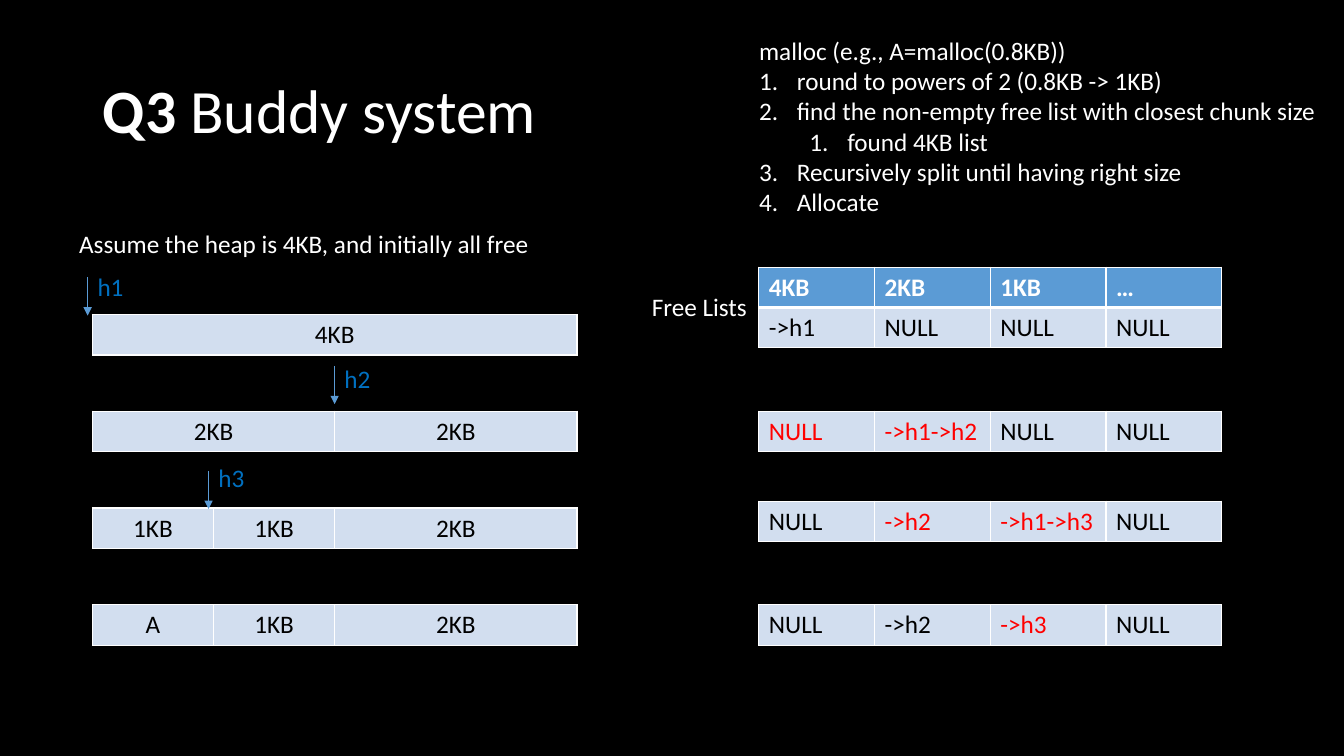
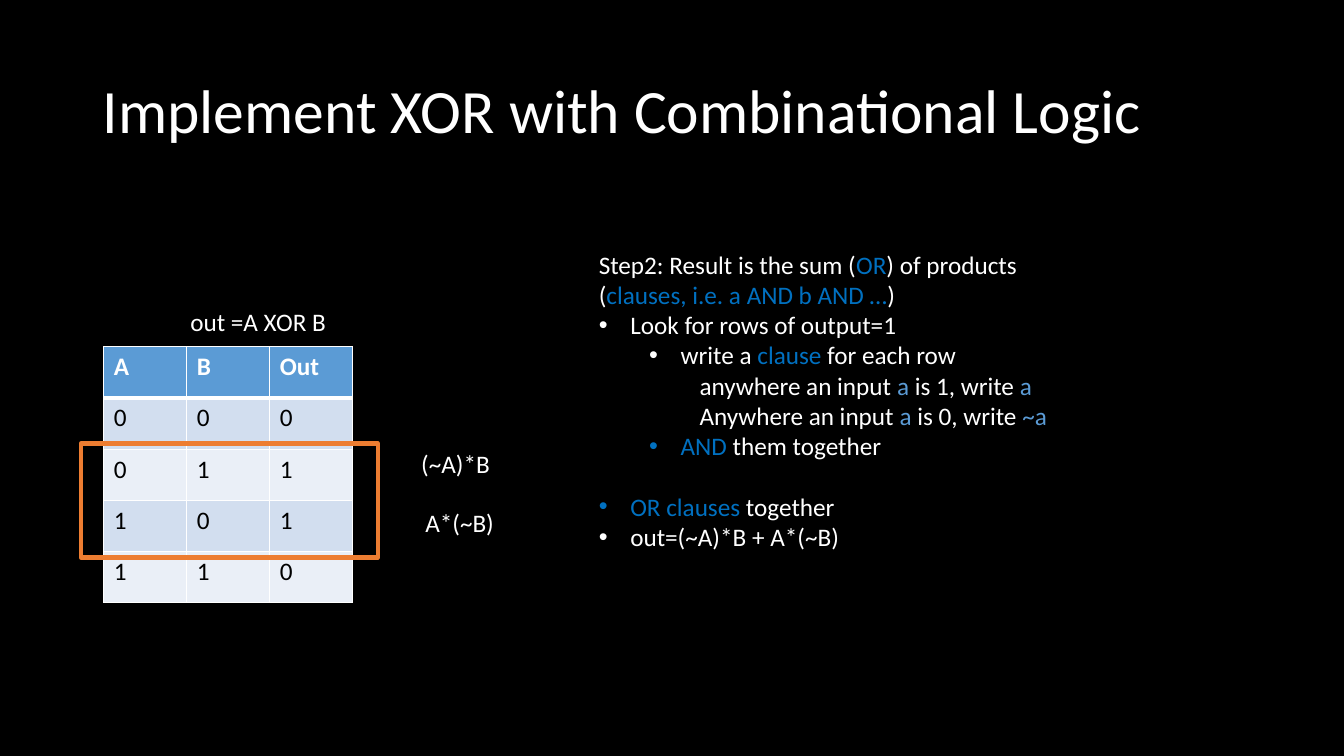
from dataclasses import dataclass
from typing import NamedTuple

from lxml.etree import SubElement
from pptx import Presentation
from pptx.dml.color import RGBColor
from pptx.enum.shapes import MSO_CONNECTOR, MSO_SHAPE
from pptx.enum.text import MSO_ANCHOR, MSO_AUTO_SIZE, PP_ALIGN
from pptx.oxml.ns import qn
from pptx.util import Pt


@dataclass(frozen=True)
class Theme:
    font: str = "Calibri"
    bullet_font: str = "Arial"
    title_size: float = 44
    text_size: float = 18
    background: str = "000000"
    text: str = "FFFFFF"
    cell_text: str = "000000"
    changed: str = "FF0000"
    keyword: str = "0070C0"
    accent: str = "5B9BD5"
    highlight: str = "ED7D31"
    band_dark: str = "D2DEEF"
    band_light: str = "EAEFF7"
    border: str = "FFFFFF"
    thin: float = 1
    thick: float = 3
    hairline: float = 0.5


class Box(NamedTuple):
    left: float
    top: float
    width: float
    height: float

    def points(self):
        return [Pt(length) for length in self]


class Item(NamedTuple):
    """A list paragraph; runs are plain strings or (string, colour) pairs."""
    runs: list
    level: int = 0
    margin: float = 0
    hanging: float = 0
    bullet: str = ""
    space_before: float = 0


class Pointer(NamedTuple):
    """An address arrow; offset from the bar's left, rises above its top."""
    name: str
    offset: float
    rise: float
    label_rise: float


THEME = Theme()
NUMBER = "1."
DOT = "•"
LINE_HEIGHT = 28.8
TITLE = Box(66.24, 28.8, 828, 104.4)


def rgb(colour):
    return RGBColor.from_string(colour)


def style_run(run, colour, size=THEME.text_size, bold=False):
    run.font.name = THEME.font
    run.font.size = Pt(size)
    run.font.bold = bold
    run.font.color.rgb = rgb(colour)


def add_label(slide, text, left, top, width, colour=THEME.text):
    label = slide.shapes.add_textbox(*Box(left, top, width, LINE_HEIGHT).points())
    label.text_frame.word_wrap = False
    label.text_frame.text = text
    style_run(label.text_frame.paragraphs[0].runs[0], colour)


def set_title(slide, *parts):
    """Write the title from (text, bold) parts."""
    paragraph = slide.shapes.title.text_frame.paragraphs[0]
    paragraph.alignment = PP_ALIGN.LEFT
    paragraph.line_spacing = 0.9
    for text, bold in parts:
        run = paragraph.add_run()
        run.text = text
        style_run(run, THEME.text, THEME.title_size, bold)


def set_bullet(paragraph, item):
    properties = paragraph._p.get_or_add_pPr()
    properties.set("marL", str(int(Pt(item.margin))))
    properties.set("indent", str(int(Pt(-item.hanging))))
    if item.bullet == NUMBER:
        SubElement(properties, qn("a:buFont"), typeface="+mj-lt")
        SubElement(properties, qn("a:buAutoNum"), type="arabicPeriod")
    elif item.bullet:
        SubElement(properties, qn("a:buFont"), typeface=THEME.bullet_font)
        SubElement(properties, qn("a:buChar"), char=item.bullet)
    else:
        SubElement(properties, qn("a:buNone"))


def fill_body(slide, box, items, wrap=True):
    body = slide.placeholders[1]
    body.left, body.top, body.width, body.height = box.points()
    frame = body.text_frame
    frame.word_wrap = wrap
    frame.auto_size = MSO_AUTO_SIZE.NONE
    for index, item in enumerate(items):
        paragraph = frame.add_paragraph() if index else frame.paragraphs[0]
        paragraph.level = item.level
        paragraph.alignment = PP_ALIGN.LEFT
        paragraph.line_spacing = 1.0
        paragraph.space_before = Pt(item.space_before)
        set_bullet(paragraph, item)
        for part in item.runs:
            text, colour = (part, THEME.text) if isinstance(part, str) else part
            run = paragraph.add_run()
            run.text = text
            style_run(run, colour)


def set_borders(cell, top, bottom):
    properties = cell._tc.get_or_add_tcPr()
    widths = {"L": THEME.thin, "R": THEME.thin, "T": top, "B": bottom}
    for position, (side, width) in enumerate(widths.items()):
        line = SubElement(properties, qn(f"a:ln{side}"), w=str(int(Pt(width))))
        fill = SubElement(line, qn("a:solidFill"))
        SubElement(fill, qn("a:srgbClr"), val=THEME.border)
        properties.insert(position, line)


def add_grid(slide, box, rows, shares=None, header=False, changed=(), align=PP_ALIGN.LEFT):
    """Fill the box with a table; shares are column weights, changed are (row, column)."""
    shares = shares or [1] * len(rows[0])
    table = slide.shapes.add_table(len(rows), len(shares), *box.points()).table
    table.first_row = header
    for column, share in zip(table.columns, shares):
        column.width = Pt(box.width * share / sum(shares))
    for r, values in enumerate(rows):
        table.rows[r].height = Pt(box.height / len(rows))
        is_header = header and r == 0
        band = THEME.band_dark if (r - header) % 2 == 0 else THEME.band_light
        for c, value in enumerate(values):
            cell = table.cell(r, c)
            cell.fill.solid()
            cell.fill.fore_color.rgb = rgb(THEME.accent if is_header else band)
            set_borders(cell,
                        THEME.thick if header and r == 1 else THEME.thin,
                        THEME.thick if is_header else THEME.thin)
            paragraph = cell.text_frame.paragraphs[0]
            paragraph.text = value
            paragraph.alignment = align
            colour = THEME.changed if (r, c) in changed else THEME.cell_text
            style_run(paragraph.runs[0], THEME.text if is_header else colour, bold=is_header)


def add_pointer(slide, bar, pointer):
    x, start = bar.left + pointer.offset, bar.top - pointer.rise
    add_label(slide, pointer.name, x, bar.top - pointer.label_rise, 33, THEME.keyword)
    arrow = slide.shapes.add_connector(
        MSO_CONNECTOR.STRAIGHT, Pt(x), Pt(start), Pt(x), Pt(start + 27.3))
    arrow.line.color.rgb = rgb(THEME.accent)
    arrow.line.width = Pt(THEME.hairline)
    SubElement(arrow.line._get_or_add_ln(), qn("a:tailEnd"), type="triangle")
    SubElement(arrow._element.spPr, qn("a:effectLst"))


def add_heap(slide, box):
    """Stack the heap's states over the box, each split into sized chunks."""
    stages = [
        (["4KB"], [4], Pointer("h1", -3.4, 26.6, 34.6)),
        (["2KB", "2KB"], [2, 2], Pointer("h2", 173, 32.4, 37.5)),
        (["1KB", "1KB", "2KB"], [1, 1, 2], Pointer("h3", 83, 26.6, 36)),
        (["A", "1KB", "2KB"], [1, 1, 2], None),
    ]
    add_label(slide, "Assume the heap is 4KB, and initially all free",
              box.left - 16.5, box.top - 64.8, 340)
    pitch = (box.height - LINE_HEIGHT) / (len(stages) - 1)
    for index, (chunks, sizes, pointer) in enumerate(stages):
        bar = Box(box.left, box.top + index * pitch, box.width, LINE_HEIGHT)
        add_grid(slide, bar, [chunks], sizes, align=PP_ALIGN.CENTER)
        if pointer:
            add_pointer(slide, bar, pointer)


def add_free_lists(slide, box):
    """Stack the free-list states; each has its drop from the box's top."""
    null = "NULL"
    add_label(slide, "Free Lists", box.left - 83.5, box.top + 13.7, 83)
    states = [
        (0, [["4KB", "2KB", "1KB", "…"], ["->h1", null, null, null]], ()),
        (103, [[null, "->h1->h2", null, null]], [(0, 0), (0, 1)]),
        (167.2, [[null, "->h2", "->h1->h3", null]], [(0, 1), (0, 2)]),
        (241.2, [[null, "->h2", "->h3", null]], [(0, 2)]),
    ]
    for drop, rows, changed in states:
        state = Box(box.left, box.top + drop, box.width, LINE_HEIGHT * len(rows))
        add_grid(slide, state, rows, header=len(rows) > 1, changed=changed)


def add_truth_table(slide, box):
    add_label(slide, "out =A XOR B", box.left + 54.7, box.top - 32.4, 112)
    add_grid(slide, box, [
        ["A", "B", "Out"],
        ["0", "0", "0"],
        ["0", "1", "1"],
        ["1", "0", "1"],
        ["1", "1", "0"],
    ], header=True)
    frame = Box(box.left - 16.6, box.top + 69.2, box.width + 34.6, 81.4)
    true_rows = slide.shapes.add_shape(MSO_SHAPE.RECTANGLE, *frame.points())
    true_rows.shadow.inherit = False
    true_rows.fill.background()
    true_rows.line.color.rgb = rgb(THEME.highlight)
    true_rows.line.width = Pt(THEME.thick)
    add_label(slide, "(~A)*B", box.left + 219.6, frame.top, 64)
    add_label(slide, "A*(~B)", box.left + 222.5, frame.top + 41.8, 64)


def build_buddy_slide(slide):
    set_title(slide, ("Q3 ", True), ("Buddy system", False))
    step = dict(margin=27, hanging=27, bullet=NUMBER)
    fill_body(slide, Box(535, 21.6, 417, 138.2), [
        Item(["malloc (e.g., A=malloc(0.8KB))"]),
        Item(["round to powers of 2 (0.8KB -> 1KB)"], **step),
        Item(["find the non-empty free list with closest chunk size"], **step),
        Item(["found 4KB list"], 1, 63, 27, NUMBER),
        Item(["Recursively split until having right size"], **step),
        Item(["Allocate"], **step),
    ], wrap=False)
    add_heap(slide, Box(66, 224.7, 346.2, 236.1))
    add_free_lists(slide, Box(542, 190.8, 330.8, 270))


def build_xor_slide(slide):
    set_title(slide, ("Implement XOR with Combinational Logic", False))
    point = dict(margin=22.5, hanging=22.5, bullet=DOT)
    subpoint = dict(level=1, margin=58.5, hanging=22.5, bullet=DOT)
    variable = ("a", THEME.accent)
    fill_body(slide, Box(420.5, 174.2, 361.4, 225.4), [
        Item(["Step2: Result is the sum (", ("OR", THEME.keyword), ") of products (",
              ("clauses, i.e. a AND b AND …", THEME.keyword), ")"]),
        Item(["Look for rows of output=1"], **point),
        Item(["write a ", ("clause", THEME.keyword), " for each row"], **subpoint),
        Item(["anywhere an input ", variable, " is 1, write ", variable,
              " Anywhere an input ", variable, " is 0, write ", ("~a", THEME.accent)],
             level=2, margin=72),
        Item([("AND", THEME.keyword), " them together"], **subpoint),
        Item([("OR clauses", THEME.keyword), " together"], space_before=21.8, **point),
        Item(["out=(~A)*B + A*(~B)"], **point),
    ])
    add_truth_table(slide, Box(74.2, 247.6, 177.8, 183))


def main():
    deck = Presentation()
    deck.slide_width, deck.slide_height = Pt(960), Pt(540)
    background = deck.slide_master.background.fill
    background.solid()
    background.fore_color.rgb = rgb(THEME.background)
    layout = deck.slide_layouts[1]
    title = layout.placeholders[0]
    title.left, title.top, title.width, title.height = TITLE.points()
    title.text_frame.vertical_anchor = MSO_ANCHOR.MIDDLE
    for build in (build_buddy_slide, build_xor_slide):
        build(deck.slides.add_slide(layout))
    deck.save("out.pptx")


if __name__ == "__main__":
    main()
